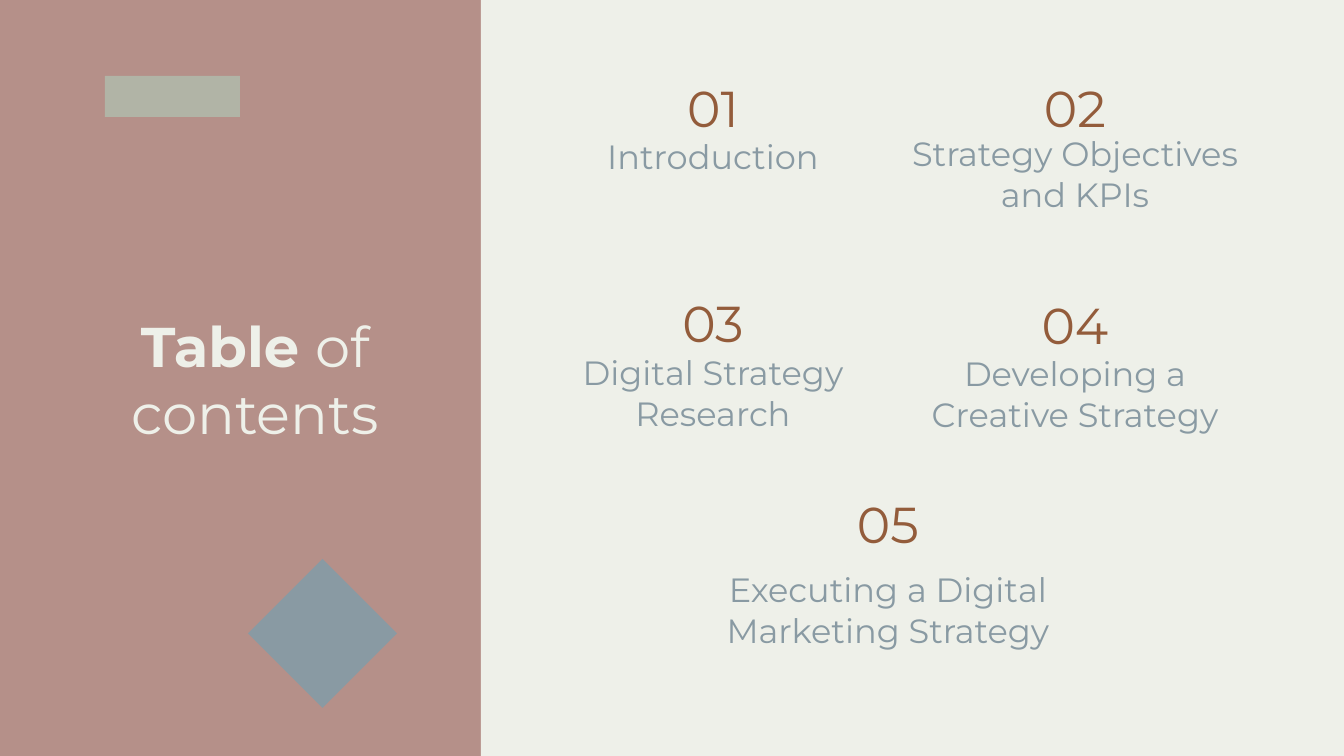
import pptx
import pptx.util
import pptx.dml.color
import pptx.enum.shapes
import pptx.enum.text

PX = 914400 / 134.4
FONT = "Montserrat"
ROSE, CREAM, RUST, SLATE, SAGE = "B59089", "EEF0E9", "935C3B", "899AA3", "B1B4A6"
SHAPES = pptx.enum.shapes.MSO_SHAPE
ANCHORS = pptx.enum.text.MSO_ANCHOR

TITLE = [("Table ", True), ("of contents", False)]
SECTIONS = [
    # center, number top, caption top, caption height
    ("Introduction", 713, 77, 138, 38),
    ("Strategy Objectives and KPIs", 1075, 77, 138, 76),
    ("Digital Strategy Research", 713, 292, 355, 78),
    ("Developing a Creative Strategy", 1075, 294, 353, 81),
    ("Executing a Digital Marketing Strategy", 888, 493, 573, 77),
]
NUMBER_WIDTH, NUMBER_HEIGHT, CAPTION_WIDTH = 187, 60, 362


def px(*lengths):
    return [round(length * PX) for length in lengths]


def color(value):
    return pptx.dml.color.RGBColor.from_string(value)


def add_block(slide, kind, place, fill):
    block = slide.shapes.add_shape(kind, *px(*place))
    block.shadow.inherit = False
    block.fill.solid()
    block.fill.fore_color.rgb = color(fill)
    block.line.fill.background()


def format_text(box, runs, size, ink, anchor, inset):
    frame = box.text_frame
    frame.word_wrap = True
    frame.auto_size = pptx.enum.text.MSO_AUTO_SIZE.NONE
    frame.vertical_anchor = anchor
    frame.margin_left = frame.margin_right = pptx.util.Inches(0.1)
    frame.margin_top = frame.margin_bottom = pptx.util.Inches(inset)
    para = frame.paragraphs[0]
    para.alignment = pptx.enum.text.PP_ALIGN.CENTER
    para.font.name = FONT
    para.font.size = pptx.util.Pt(size)
    para.font.color.rgb = color(ink)
    for text, bold in runs:
        span = para.add_run()
        span.text = text
        span.font.bold = bold


deck = pptx.Presentation()
deck.slide_width, deck.slide_height = px(1344, 756)
slide = deck.slides.add_slide(deck.slide_layouts[5])
slide.background.fill.solid()
slide.background.fill.fore_color.rgb = color(ROSE)

add_block(slide, SHAPES.RECTANGLE, (481, 0, 863, 756), CREAM)

title = slide.shapes.title
title.left, title.top, title.width, title.height = px(89, 296, 332, 165)
format_text(title, TITLE, 30, CREAM, ANCHORS.MIDDLE, 0.1)

for index, (caption, center, number_top, caption_top, caption_height) in enumerate(SECTIONS, 1):
    number_box = slide.shapes.add_textbox(
        *px(center - NUMBER_WIDTH / 2, number_top, NUMBER_WIDTH, NUMBER_HEIGHT))
    format_text(number_box, [(f"{index:02}", False)], 27, RUST, ANCHORS.MIDDLE, 0.1)
    caption_box = slide.shapes.add_textbox(
        *px(center - CAPTION_WIDTH / 2, caption_top, CAPTION_WIDTH, caption_height))
    format_text(caption_box, [(caption, False)], 18, SLATE, ANCHORS.BOTTOM, 0)

add_block(slide, SHAPES.RECTANGLE, (105, 76, 135, 41), SAGE)
add_block(slide, SHAPES.DIAMOND, (248, 559, 149, 149), SLATE)

deck.save("out.pptx")
